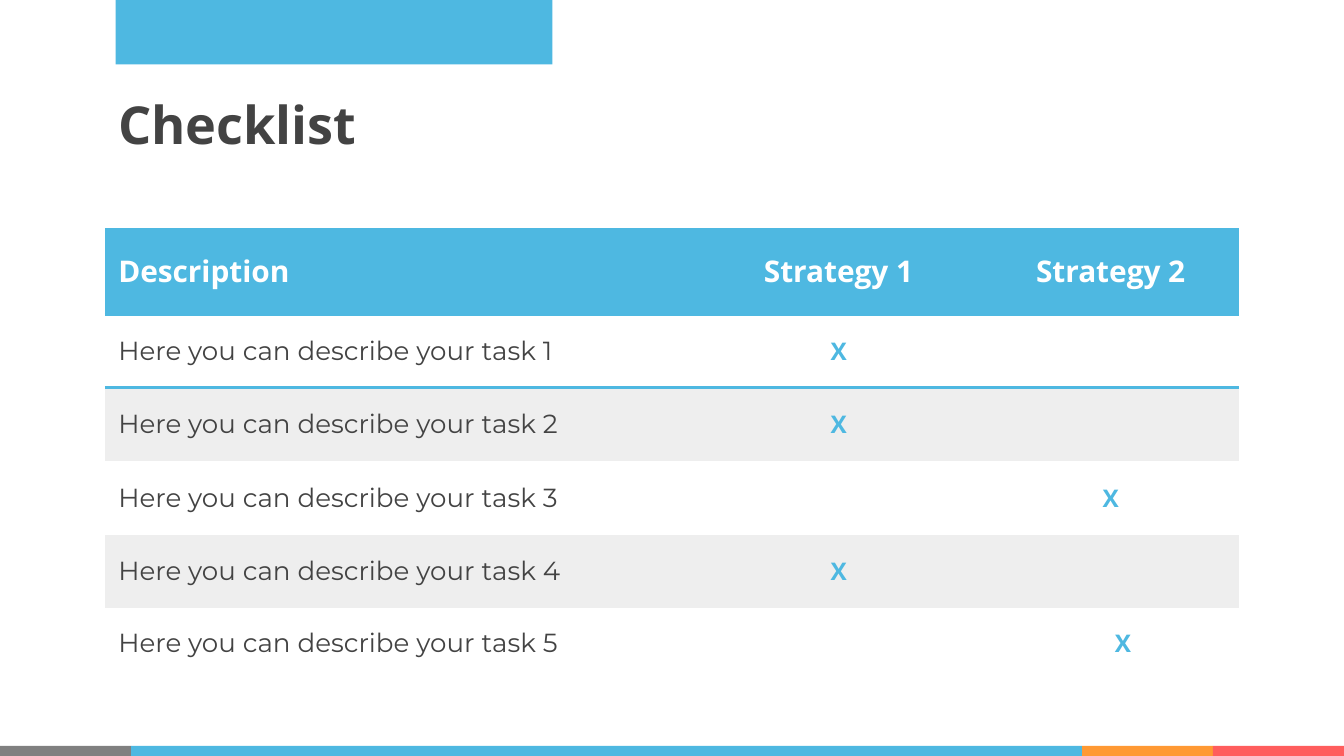
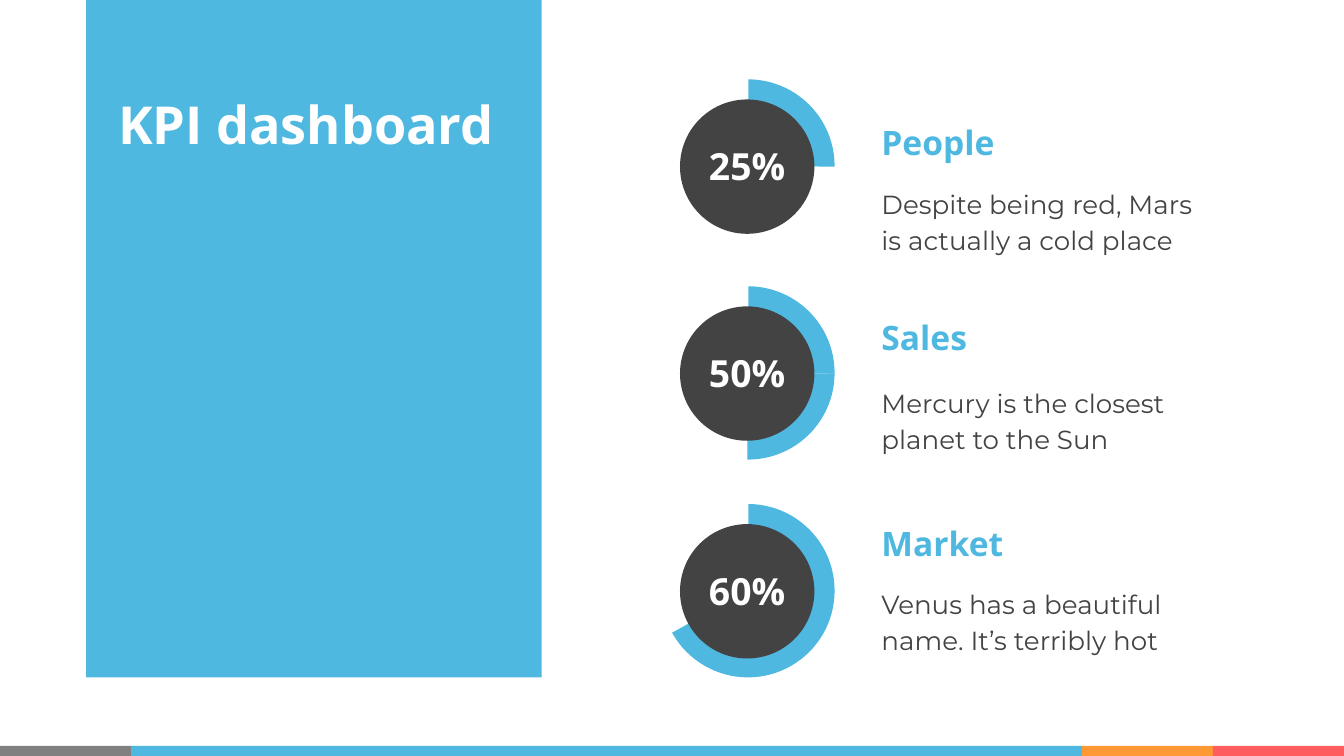
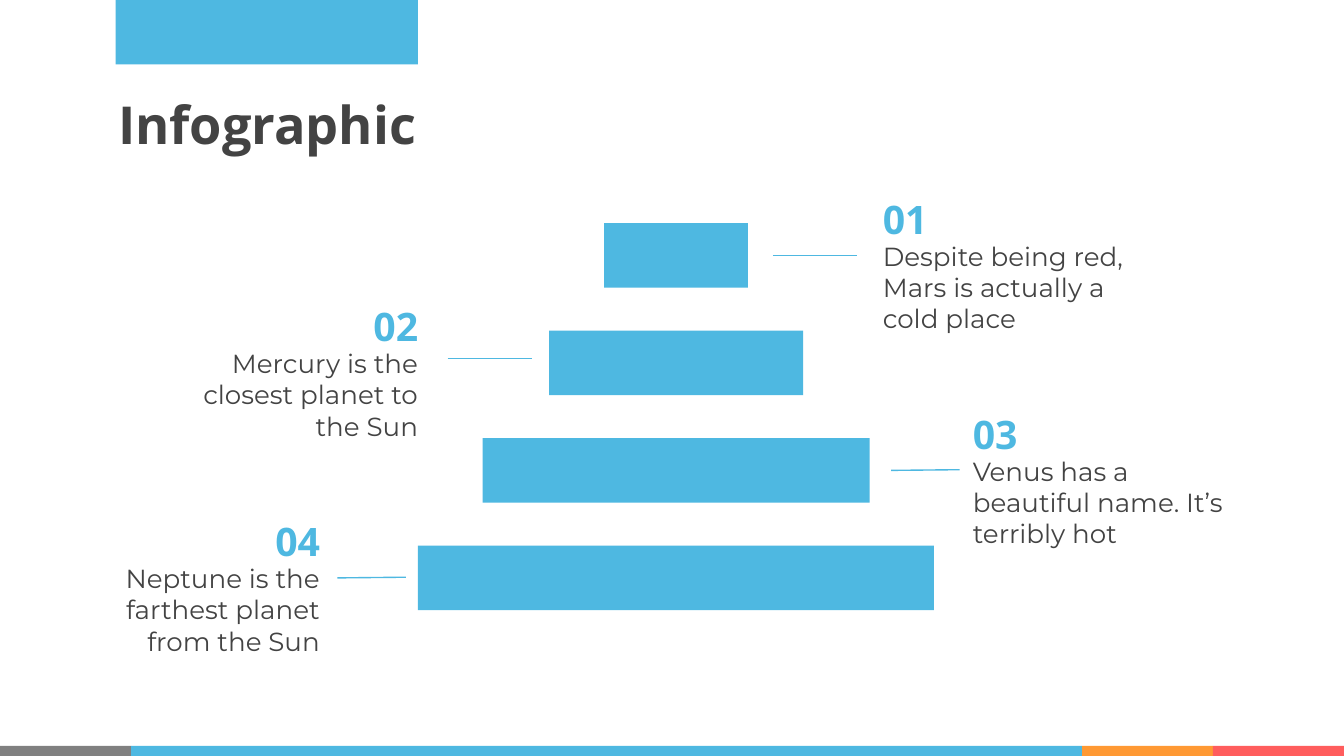
"""Build three strategy slides: a checklist table, a KPI dashboard and a step infographic."""
from dataclasses import dataclass

from lxml import etree
from pptx import Presentation
from pptx.dml.color import RGBColor
from pptx.enum.shapes import MSO_CONNECTOR, MSO_SHAPE
from pptx.enum.text import MSO_ANCHOR, PP_ALIGN
from pptx.oxml import parse_xml
from pptx.oxml.ns import nsdecls, qn
from pptx.util import Emu, Inches, Pt

RECT, DISC, PIE = MSO_SHAPE.RECTANGLE, MSO_SHAPE.OVAL, MSO_SHAPE.PIE
LEFT, MID, RIGHT = PP_ALIGN.LEFT, PP_ALIGN.CENTER, PP_ALIGN.RIGHT
TOP, HALF = MSO_ANCHOR.TOP, MSO_ANCHOR.MIDDLE
LINE = MSO_CONNECTOR.STRAIGHT
PLAIN = "{2D5ABB26-0587-4C30-8999-92F81FD0307C}"


@dataclass(frozen=True)
class Theme:
    """Colours, and text looks as face, size, colour and weight."""
    blue: str = "4EB8E1"
    dark: str = "434343"
    white: str = "FFFFFF"
    pale: str = "EEEEEE"
    gray: str = "808080"
    gold: str = "FF9933"
    red: str = "FF5D5D"
    title: tuple = ("Open Sans", 28, dark, True)
    cover: tuple = ("Open Sans", 28, white, True)
    head: tuple = ("Open Sans", 16, white, True)
    mark: tuple = ("Open Sans", 13, blue, True)
    share: tuple = ("Open Sans", 20, white, True)
    label: tuple = ("Open Sans", 18, blue, True)
    count: tuple = ("Open Sans", 21, blue, True)
    body: tuple = ("Montserrat", 14, dark, False)


theme = Theme()
deck = Presentation()
deck.slide_width, deck.slide_height = Inches(10), Inches(5.625)
UNIT = deck.slide_width / 100
PAD = Inches(0.1)


def place(page, box, fill=None, kind=RECT):
    """Put a filled shape, or a text box when there is no fill, on the grid."""
    spot = [Emu(round(n * UNIT)) for n in box]
    if fill is None:
        return page.shapes.add_textbox(*spot)
    shape = page.shapes.add_shape(kind, *spot)
    shape.shadow.inherit = False
    shape.fill.solid()
    shape.fill.fore_color.rgb = RGBColor.from_string(fill)
    shape.line.fill.background()
    return shape


def write(frame, words, look, align=LEFT, anchor=TOP, lead=None):
    """Fill a text frame with one styled paragraph."""
    face, size, tint, bold = look
    frame.text = words
    frame.word_wrap = True
    frame.vertical_anchor = anchor
    frame.margin_left = frame.margin_right = PAD
    frame.margin_top = frame.margin_bottom = PAD
    para = frame.paragraphs[0]
    para.alignment = align
    para.line_spacing = lead
    for run in para.runs:
        run.font.name, run.font.size, run.font.bold = face, Pt(size), bold
        run.font.color.rgb = RGBColor.from_string(tint)


BAND = [(80.5, 9.75, theme.gold), (90.25, 9.75, theme.red),
        (0, 9.75, theme.gray), (9.75, 70.75, theme.blue)]
HEADS = [("Checklist", theme.title, (8.6, 0, 32.5, 4.8)),
         ("KPI dashboard", theme.cover, (6.4, 0, 33.9, 50.4)),
         ("Infographic", theme.title, (8.6, 0, 22.5, 4.8))]
pages = []
for words, look, flag in HEADS:
    page = deck.slides.add_slide(deck.slide_layouts[6])
    for left, wide, fill in BAND:
        place(page, (left, 55.5, wide, 0.75), fill)
    place(page, flag, theme.blue)
    write(place(page, (7.8, 5.9, 42.2, 5.7)).text_frame, words, look)
    pages.append(page)
check, board, graph = pages

COLS = [43.9, 21.4, 19.1]
ROWS = [6.45, 5.45, 5.45, 5.5, 5.45, 5.2]
TICKS = [1, 1, 2, 1, 2]
spot = [Emu(round(n * UNIT)) for n in (7.8, 16.95, sum(COLS), sum(ROWS))]
grid = check.shapes.add_table(len(ROWS), len(COLS), *spot).table
grid.first_row = grid.horz_banding = False
grid._tbl.tblPr.find(qn("a:tableStyleId")).text = PLAIN
for col, wide in zip(grid.columns, COLS):
    col.width = Emu(round(wide * UNIT))
for row, tall in zip(grid.rows, ROWS):
    row.height = Emu(round(tall * UNIT))
cells = [["Description", "Strategy 1", "Strategy 2"]]
for num, tick in enumerate(TICKS, 1):
    marks = ["X" if tick == col else "" for col in (1, 2)]
    cells.append([f"Here you can describe your task {num}", *marks])
for r, line in enumerate(cells):
    for c, words in enumerate(line):
        cell = grid.cell(r, c)
        look = theme.head if r == 0 else theme.mark if c else theme.body
        write(cell.text_frame, words, look, MID if c else LEFT)
        cell.vertical_anchor = HALF
        cell.margin_left = cell.margin_right = PAD
        cell.margin_top = cell.margin_bottom = PAD
        if r < 2:
            edge = parse_xml(f'<a:{"lnT" if r else "lnB"} {nsdecls("a")} w="19050"/>')
            ink = etree.SubElement(edge, qn("a:solidFill"))
            etree.SubElement(ink, qn("a:srgbClr"), val=theme.blue)
            cell._tc.get_or_add_tcPr().append(edge)
        cell.fill.solid()
        fill = theme.pale if r % 2 == 0 else theme.white
        cell.fill.fore_color.rgb = RGBColor.from_string(fill if r else theme.blue)
grid.cell(5, 2).margin_left = Inches(0.28)

KPIS = [
    ("25%", 5.9, 0.24, [0], "People", 5.9, 12.7,
     "Despite being red, Mars is actually a cold place"),
    ("50%", 21.3, 0.24, [90, 0], "Sales", 20.4, 27.5,
     "Mercury is the closest planet to the Sun"),
    ("60%", 37.5, 90.6, [0], "Market", 35.7, 42.4,
     "Venus has a beautiful name. It’s terribly hot"),
]
for share, top, end, turns, name, high, low, words in KPIS:
    for turn in turns:
        arc = place(board, (49.2, top, 12.9, 12.9), theme.blue, PIE)
        arc.adjustments[0], arc.adjustments[1] = 162.19, end
        arc.rotation = turn
    place(board, (50.6, top + 1.5, 10, 10), theme.dark, DISC)
    write(place(board, (50.6, top + 5.2, 10, 2.5)).text_frame,
          share, theme.share, MID, HALF)
    write(place(board, (64.6, high, 26.9, 9.4)).text_frame,
          name, theme.label, anchor=HALF)
    write(place(board, (64.6, low, 26.9, 7.6)).text_frame,
          words, theme.body, lead=1.15)

STEPS = [
    (10.7, 64.7, 21.1, LEFT, (57.5, 19, 63.8, 19),
     "Despite being red, Mars is actually a cold place"),
    (18.9, 11, 21.1, RIGHT, (33.3, 26.7, 39.6, 26.7),
     "Mercury is the closest planet to the Sun"),
    (28.8, 71.4, 21.1, LEFT, (66.3, 35, 71.4, 34.95),
     "Venus has a beautiful name. It’s terribly hot"),
    (38.4, 7.8, 17, RIGHT, (25.1, 43, 30.2, 42.95),
     "Neptune is the farthest planet from the Sun"),
]
for num, (wide, left, span, side, ends, words) in enumerate(STEPS):
    top = 16.6 + 8 * num
    place(graph, (50.3 - wide / 2, top, wide, 4.8), theme.blue)
    write(place(graph, (left, top - 3.6, span, 4.2)).text_frame,
          f"{num + 1:02}", theme.count, side, lead=1.15)
    write(place(graph, (left, top + 0.25, span, 8.1)).text_frame,
          words, theme.body, side)
    rule = graph.shapes.add_connector(LINE, *[Emu(round(n * UNIT)) for n in ends])
    rule.line.width = Pt(0.75)
    rule.line.color.rgb = RGBColor.from_string(theme.blue)
    etree.SubElement(rule._element.spPr, qn("a:effectLst"))

deck.save("out.pptx")
